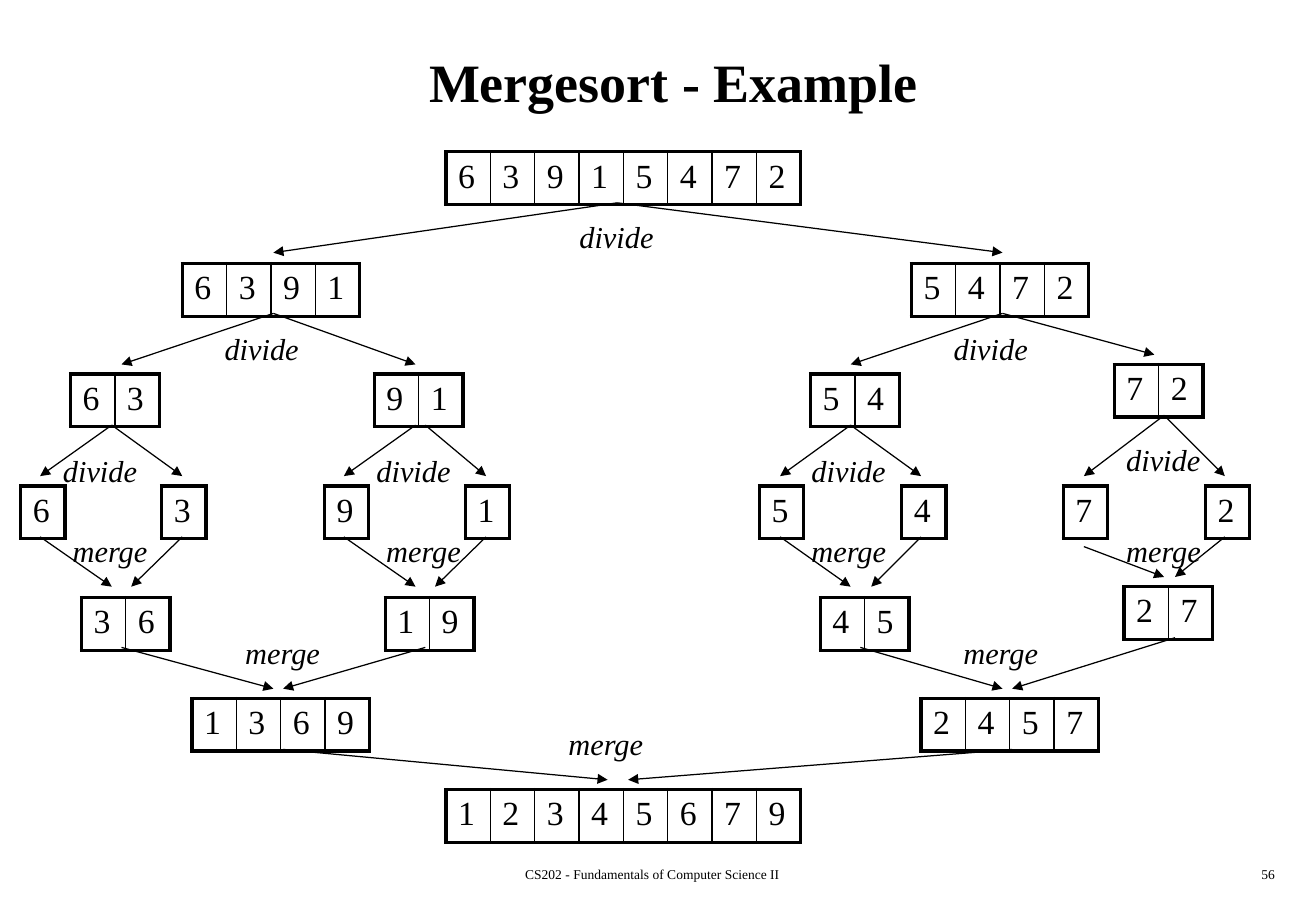
from lxml import etree
from pptx import Presentation
from pptx.dml.color import RGBColor
from pptx.enum.shapes import MSO_CONNECTOR
from pptx.enum.text import MSO_ANCHOR, PP_ALIGN
from pptx.oxml.ns import qn
from pptx.util import Inches, Pt

STRAIGHT = MSO_CONNECTOR.STRAIGHT
MIDDLE = MSO_ANCHOR.MIDDLE
LEFT, CENTER, RIGHT = PP_ALIGN.LEFT, PP_ALIGN.CENTER, PP_ALIGN.RIGHT
TITLE_ONLY = 5

# Values, left, top
ARRAYS = [
    ("63915472", 3.67, 1.25),
    ("6391", 1.5, 2.17), ("5472", 7.5, 2.17),
    ("63", 0.58, 3.08), ("91", 3.08, 3.08), ("54", 6.67, 3.08), ("72", 9.17, 3),
    ("6", 0.17, 4), ("3", 1.33, 4), ("9", 2.67, 4), ("1", 3.83, 4),
    ("5", 6.25, 4), ("4", 7.42, 4), ("7", 8.75, 4), ("2", 9.92, 4),
    ("36", 0.67, 4.92), ("19", 3.17, 4.92), ("45", 6.75, 4.92), ("27", 9.25, 4.83),
    ("1369", 1.58, 5.75), ("2457", 7.58, 5.75),
    ("12345679", 3.67, 6.5),
]

# Start x, start y, end x, end y
DIVIDE_ARROWS = [
    (5.08, 1.67, 2.25, 2.08), (5.08, 1.67, 8.25, 2.08),
    (2.25, 2.58, 1, 3), (2.25, 2.58, 3.42, 3),
    (8.25, 2.58, 7, 3), (8.25, 2.58, 9.5, 2.92),
    (0.92, 3.5, 0.33, 3.92), (0.92, 3.5, 1.5, 3.92),
    (3.42, 3.5, 2.83, 3.92), (3.5, 3.5, 4, 3.92),
    (7, 3.5, 6.42, 3.92), (7, 3.5, 7.58, 3.92),
    (9.58, 3.42, 8.92, 3.92), (9.58, 3.42, 10.08, 3.92),
]
MERGE_ARROWS = [
    (0.33, 4.42, 0.92, 4.83), (1.5, 4.42, 1.08, 4.83),
    (2.83, 4.42, 3.42, 4.83), (4, 4.42, 3.58, 4.83),
    (6.42, 4.42, 7, 4.83), (7.58, 4.42, 7.17, 4.83),
    (8.92, 4.5, 9.58, 4.75), (10.08, 4.42, 9.67, 4.75),
    (1, 5.33, 2.25, 5.67), (3.5, 5.33, 2.33, 5.67),
    (7.08, 5.33, 8.25, 5.67), (9.67, 5.25, 8.33, 5.67),
    (2.33, 6.17, 5, 6.42), (8.33, 6.17, 5.17, 6.42),
]

# Word: width, (left, top) of each label
STEP_LABELS = {
    "divide": (1, [(4.67, 1.75), (1.75, 2.67), (7.75, 2.67), (0.42, 3.67),
                   (3, 3.67), (6.58, 3.67), (9.17, 3.58)]),
    "merge": (0.83, [(0.5, 4.33), (3.08, 4.33), (6.58, 4.33), (9.17, 4.33),
                     (1.92, 5.17), (7.83, 5.17), (4.58, 5.92)]),
}


def rgb(hex_color):
    return RGBColor.from_string(hex_color)


class SlideBuilder:
    font = "Times New Roman"
    ink = "000000"
    cell_width, cell_height = 0.365, 0.42
    outer_line, inner_line, arrow_line = 2.25, 1, 0.75

    def __init__(self, slide):
        self.slide = slide

    def set_text(self, tf, text, size, align=LEFT, bold=False, italic=False):
        tf.text = text
        p = tf.paragraphs[0]
        p.alignment = align
        font = p.runs[0].font
        font.name, font.size = self.font, Pt(size)
        font.bold, font.italic = bold, italic
        font.color.rgb = rgb(self.ink)

    def title(self, text, left, top, width, height):
        sp = self.slide.shapes.title
        sp.left, sp.top = Inches(left), Inches(top)
        sp.width, sp.height = Inches(width), Inches(height)
        sp.text_frame.vertical_anchor = MIDDLE
        self.set_text(sp.text_frame, text, 32, CENTER, bold=True)

    def text(self, text, left, top, width, height, size, align=LEFT, italic=False):
        sp = self.slide.shapes.add_textbox(
            Inches(left), Inches(top), Inches(width), Inches(height))
        sp.text_frame.word_wrap = True
        self.set_text(sp.text_frame, text, size, align, italic=italic)

    def border(self, cell, side, points):
        ln = etree.SubElement(cell._tc.get_or_add_tcPr(), qn(f"a:ln{side}"),
                              w=str(Pt(points)))
        fill = etree.SubElement(ln, qn("a:solidFill"))
        etree.SubElement(fill, qn("a:srgbClr"), val=self.ink)

    def array(self, values, left, top):
        """Draw the values as a one-row table with a heavy outline."""
        count = len(values)
        table = self.slide.shapes.add_table(
            1, count, Inches(left), Inches(top),
            Inches(count * self.cell_width), Inches(self.cell_height)).table
        table.first_row = table.horz_banding = False
        for i, value in enumerate(values):
            table.columns[i].width = Inches(self.cell_width)
            cell = table.cell(0, i)
            self.set_text(cell.text_frame, value, 20)
            self.border(cell, "L", self.outer_line if i == 0 else self.inner_line)
            self.border(cell, "R", self.outer_line if i == count - 1 else self.inner_line)
            self.border(cell, "T", self.outer_line)
            self.border(cell, "B", self.outer_line)
            cell.fill.background()

    def arrow(self, *ends):
        sp = self.slide.shapes.add_connector(STRAIGHT, *map(Inches, ends))
        sp.line.color.rgb = rgb(self.ink)
        sp.line.width = Pt(self.arrow_line)
        properties = sp._element.spPr
        etree.SubElement(properties.find(qn("a:ln")), qn("a:tailEnd"), type="triangle")
        etree.SubElement(properties, qn("a:effectLst"))


def main():
    prs = Presentation()
    prs.slide_width, prs.slide_height = Inches(10.83), Inches(7.5)
    s = SlideBuilder(prs.slides.add_slide(prs.slide_layouts[TITLE_ONLY]))

    s.title("Mergesort - Example", 0.42, 0.17, 10.25, 1)
    s.text("CS202 - Fundamentals of Computer Science II", 3.34, 7.08, 4.06, 0.25, 8, CENTER)
    s.text("56", 8.33, 7.08, 2.26, 0.25, 8, RIGHT)
    for values, left, top in ARRAYS:
        s.array(values, left, top)
    for ends in DIVIDE_ARROWS + MERGE_ARROWS:
        s.arrow(*ends)
    for word, (width, places) in STEP_LABELS.items():
        for left, top in places:
            s.text(word, left, top, width, 0.4, 18, italic=True)

    prs.save("out.pptx")


if __name__ == "__main__":
    main()
